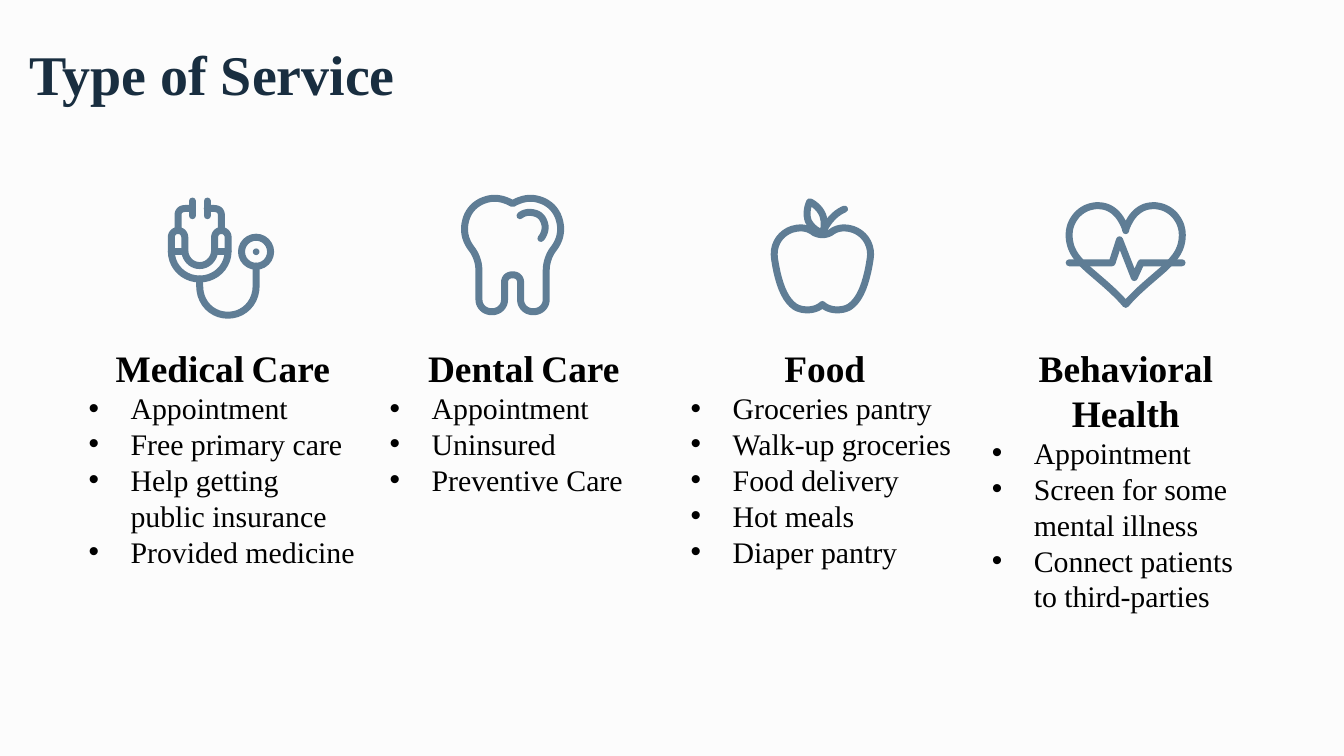
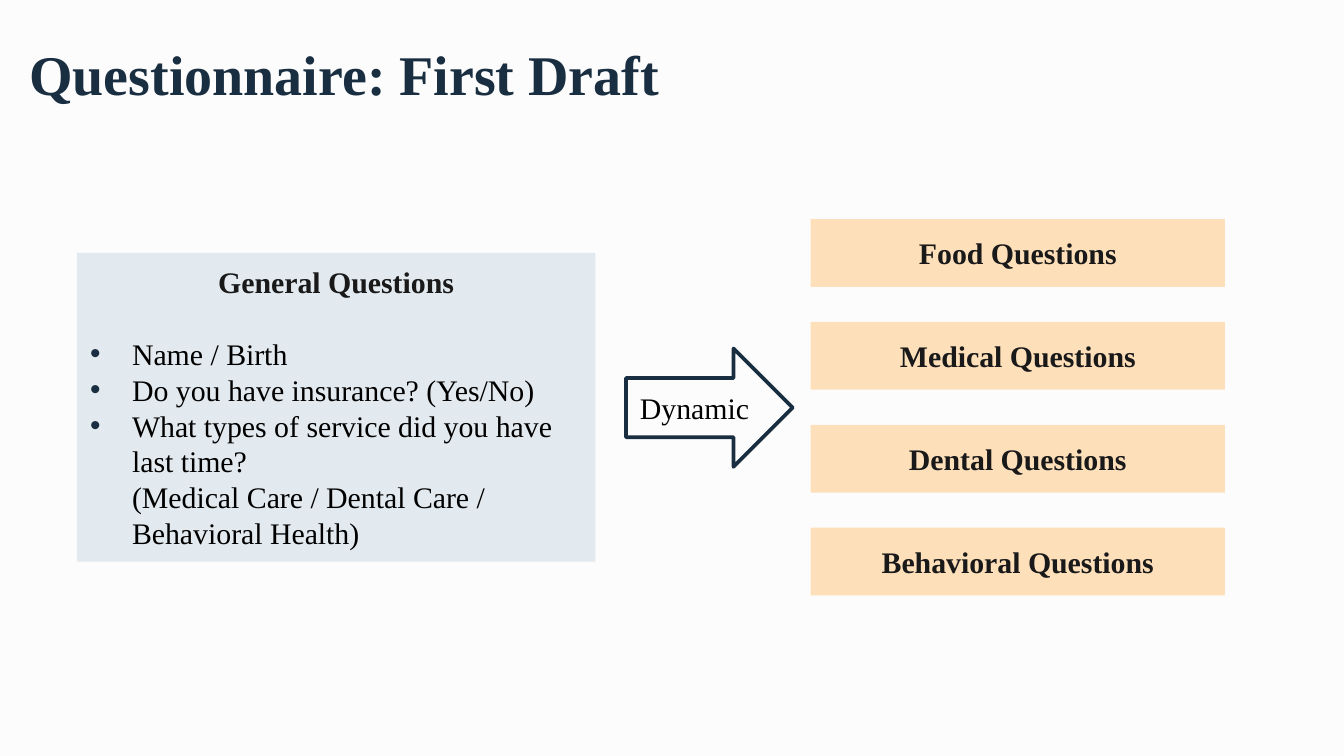
from lxml.etree import SubElement
from pptx import Presentation
from pptx.dml.color import RGBColor as RGB
from pptx.enum.shapes import MSO_SHAPE as SHAPE
from pptx.enum.text import MSO_ANCHOR as ANCHOR, PP_ALIGN as ALIGN
from pptx.oxml.ns import qn
from pptx.util import Pt

COLORS = {
    "bg": "FCFCFC", "navy": "192E40", "steel": "5F7D95", "black": "000000",
    "ink": "191919", "mist": "CBD9E2", "peach": "FFC479",
}
FONT = "Times New Roman"
LEADING = 1.2
INDENT = 22.5
STROKE = 3.75

# Icon strokes in points: a start, then lines (x, y) and curves (two controls, end).
# "fold" closes a half outline by mirroring it, "twin" repeats it mirrored.
STETHOSCOPE = [
    ("fold", [(17, 43.6), (8.6, 43.6, 1.8, 37, 1.8, 28.8), (1.8, 21.2),
              (1.8, 19.2, 3.4, 17.6, 5.4, 17.6), (7.4, 17.6, 9, 19.2, 9, 21.2),
              (9, 28.1), (9, 32.6, 12.6, 36.4, 17, 36.4)]),
    ("twin", [(1.8, 28.8), (9, 28.8)]),
    ("twin", [(5.4, 17.6), (5.4, 9.4), (5.4, 7, 7, 5.8, 9.4, 5.8), (13, 5.8)]),
    ("twin", [(13, 1.8), (13, 9.7)]),
    ("open", [(17, 43.6), (17, 47.5), (17, 56.2, 23.5, 63, 32.1, 63),
              (40.7, 63, 47.2, 56.2, 47.2, 47.5), (47.2, 36.7)]),
]
TOOTH = [
    ("fold", [(28.4, 4.7), (25.9, 3.2, 22.3, 1.8, 18.7, 1.8),
              (17.3, 1.8, 15.9, 2.1, 14.6, 2.4), (8.6, 4, 4.5, 8.4, 3.2, 14),
              (1.9, 19.1, 2.9, 24.1, 6.1, 28.4), (9, 32, 10.4, 36.4, 10.4, 41),
              (10.4, 56.2), (10.4, 59.8, 13.4, 62.6, 17.3, 62.6),
              (21.2, 62.6, 24.1, 59.8, 24.1, 56.2), (24.1, 46.8),
              (24.1, 44.3, 26, 42.8, 28.4, 42.8)]),
]
SHINE = [
    ("open", [(32.4, 11.2), (33.8, 10, 35.6, 9.4, 37.4, 9.4),
              (38.5, 9.4, 39.6, 9.6, 40.7, 9.9), (43.6, 10.8, 45, 13, 45.7, 15.8),
              (46.3, 18.4, 45.4, 21.2, 43.6, 23.4)]),
]
APPLE = [
    ("fold", [(28.8, 19.8), (26.6, 19.8, 24.8, 19.1, 23.4, 18),
              (21.6, 16.8, 19.4, 16.2, 17.3, 16.2), (16.4, 16.2, 15.6, 16.3, 14.8, 16.4),
              (7, 17.6, 1.8, 24.8, 3.2, 32.8), (5, 45, 8.3, 54.4, 14, 58.3),
              (16, 59.6, 18.4, 60.1, 20.9, 60.1), (24, 60.1, 27, 59, 28.8, 57.2)]),
    ("open", [(22, 2.2), (24.5, 3.2, 27.7, 6, 29, 9.4), (30.2, 13, 30, 16.4, 28.8, 19),
              (25, 17.5, 22.5, 15, 21.2, 12.3), (20, 8.6, 20.8, 5, 22, 2.2)]),
    ("open", [(40.7, 6.1), (36, 8, 31.5, 12.5, 28.8, 19)]),
]
HEART = [
    ("fold", [(32.1, 15.6), (32.1, 14.6, 31, 11.8, 29.2, 9),
              (26.9, 5.4, 22.9, 2.2, 17.3, 2.2), (13, 2.2, 9, 3.9, 5.9, 7.2),
              (3.2, 10.4, 1.8, 13.7, 1.8, 18), (1.8, 22.8, 3.4, 26.9, 6.5, 30.6),
              (8.5, 33.2, 11.5, 36, 15.8, 39.6), (21.2, 44.3, 26.9, 49, 32.1, 55.1)]),
    ("open", [(1.8, 32.8), (24.8, 32.8), (28.8, 20.5), (36.7, 40.7),
              (40.3, 32.8), (62.3, 32.8)]),
]

SERVICES = [
    ("Medical Care", ["Appointment", "Free primary care",
                      "Help getting public insurance", "Provided medicine"]),
    ("Dental Care", ["Appointment", "Uninsured", "Preventive Care"]),
    ("Food", ["Groceries pantry", "Walk-up groceries", "Food delivery",
              "Hot meals", "Diaper pantry"]),
    ("Behavioral Health", ["Appointment", "Screen for some mental illness",
                           "Connect patients to third-parties"]),
]
GENERAL = [
    "Name / Birth",
    "Do you have insurance? (Yes/No)",
    "What types of service did you have last time?\n"
    "(Medical Care / Dental Care / Behavioral Health)",
]


def rgb(name):
    return RGB.from_string(COLORS[name])


def flatten(steps, n=10):
    """Turn lines and Bézier curves into points."""
    pts = [steps[0]]
    for step in steps[1:]:
        if len(step) == 2:
            pts.append(step)
            continue
        ctrl = [pts[-1], step[:2], step[2:4], step[4:]]
        for t in (i / n for i in range(1, n + 1)):
            w = ((1 - t) ** 3, 3 * t * (1 - t) ** 2, 3 * t * t * (1 - t), t ** 3)
            pts.append(tuple(sum(k * c[a] for k, c in zip(w, ctrl)) for a in (0, 1)))
    return pts


def contours(strokes, axis):
    """Yield (points, closed) for every stroke, mirrored about x = axis."""
    for mode, steps in strokes:
        pts = flatten(steps)
        flip = [(2 * axis - x, y) for x, y in pts]
        if mode == "fold":
            yield pts + flip[::-1], True
        else:
            yield pts, False
            if mode == "twin":
                yield flip, False


def add_para(tf, text, size=16, color="black", bold=False, align=None,
             bullet=None, before=0, leading=LEADING, gap=None):
    """Add a paragraph; gap is the (font, size) of the spaces between words."""
    p = tf.paragraphs[0]
    if p.runs:
        p = tf.add_paragraph()
    p.alignment = align
    p.line_spacing = Pt(round(size * leading, 2))
    p.space_before = Pt(before)
    if bullet:
        pPr = p._p.get_or_add_pPr()
        pPr.set("marL", str(Pt(INDENT)))
        pPr.set("indent", str(-Pt(INDENT)))
        clr = SubElement(pPr, qn("a:buClr"))
        SubElement(clr, qn("a:srgbClr"), val=COLORS[bullet])
        SubElement(pPr, qn("a:buFont"), typeface="Arial")
        SubElement(pPr, qn("a:buChar"), char="•")

    def add_run(part, name, pts, heavy):
        r = p.add_run()
        r.text = part
        r.font.name, r.font.size, r.font.bold = name, Pt(pts), heavy
        r.font.color.rgb = rgb(color)

    for i, line in enumerate(text.split("\n")):
        if i:
            p.add_line_break()
        for j, part in enumerate(line.split(" ") if gap else [line]):
            if j:
                add_run(" ", *gap, False)
            add_run(part, FONT, size, bold)
    return p


class Deck:
    """The shared style and the slide being built."""

    def __init__(self):
        self.prs = Presentation()
        self.prs.slide_width, self.prs.slide_height = Pt(720), Pt(405)
        self.s = None

    def slide(self, title):
        self.s = self.prs.slides.add_slide(self.prs.slide_layouts[6])
        self.s.background.fill.solid()
        self.s.background.fill.fore_color.rgb = rgb("bg")
        tf = self.text(8.6, 5, 420, 63.4, inset=7.2, anchor=ANCHOR.MIDDLE)
        add_para(tf, title, size=30, color="navy", bold=True, leading=LEADING * 1.15)

    def frame(self, sp, inset=3.6, anchor=ANCHOR.TOP, wrap=True):
        tf = sp.text_frame
        tf.word_wrap, tf.vertical_anchor = wrap, anchor
        tf.margin_left = tf.margin_right = Pt(7.2)
        tf.margin_top = tf.margin_bottom = Pt(inset)
        return tf

    def text(self, x, y, w, h, **frame):
        sp = self.s.shapes.add_textbox(Pt(x), Pt(y), Pt(w), Pt(h))
        return self.frame(sp, **frame)

    def paint(self, sp, fill=None, alpha=None, line=None, width=1):
        sp.shadow.inherit = False
        if fill:
            sp.fill.solid()
            sp.fill.fore_color.rgb = rgb(fill)
            if alpha:
                clr = sp._element.spPr.find(qn("a:solidFill"))[0]
                SubElement(clr, qn("a:alpha"), val=str(alpha * 1000))
        else:
            sp.fill.background()
        if line:
            sp.line.color.rgb, sp.line.width = rgb(line), Pt(width)
            ln = sp._element.spPr.find(qn("a:ln"))
            ln.set("cap", "rnd")
            SubElement(ln, qn("a:round"))
        else:
            sp.line.fill.background()

    def shape(self, kind, x, y, w, h, wrap=True, **paint):
        sp = self.s.shapes.add_shape(kind, Pt(x), Pt(y), Pt(w), Pt(h))
        self.paint(sp, **paint)
        return self.frame(sp, anchor=ANCHOR.MIDDLE, wrap=wrap)

    def icon(self, strokes, x, y, axis=0):
        fb = None
        for pts, closed in contours(strokes, axis):
            pts = [(Pt(x + px), Pt(y + py)) for px, py in pts]
            if fb is None:
                fb = self.s.shapes.build_freeform(*pts[0])
            else:
                fb.move_to(*pts[0])
            fb.add_line_segments(pts[1:], close=closed)
        self.paint(fb.convert_to_shape(), line="steel", width=STROKE)


def build_services(deck):
    deck.slide("Type of Service")

    # Icons
    deck.icon(HEART, 571, 108, axis=32.1)
    deck.icon(STETHOSCOPE, 90, 105.9, axis=17)
    deck.shape(SHAPE.OVAL, 129.4, 127.1, 15.6, 15.6, line="steel", width=STROKE)
    deck.shape(SHAPE.OVAL, 135.4, 133.1, 3.6, 3.6, fill="steel")
    deck.icon(TOOTH, 246.2, 104.4, axis=28.4)
    deck.icon(SHINE, 246.2, 104.4)
    deck.icon(APPLE, 411.8, 105.9, axis=28.8)

    # Service columns
    heights = (165, 124, 145.5, 170)
    for i, ((name, items), h) in enumerate(zip(SERVICES, heights)):
        tf = deck.text(40.4 + 161.28 * i, 181.4, 157.9, h)
        add_para(tf, name, size=20, bold=True, align=ALIGN.CENTER, gap=("Arial", 14))
        for item in items:
            add_para(tf, item, bullet="black")


def build_questionnaire(deck):
    deck.slide("Questionnaire: First Draft")
    heading = dict(color="ink", bold=True, align=ALIGN.CENTER)

    # General questions
    tf = deck.shape(SHAPE.RECTANGLE, 41.2, 135.5, 277.8, 165.5, fill="mist", alpha=49)
    add_para(tf, "General Questions", **heading)
    for i, item in enumerate(GENERAL):
        add_para(tf, item, bullet="navy", align=ALIGN.LEFT,
                 before=0 if i else 16 * LEADING)

    # Questions for each service
    for i, name in enumerate(("Food", "Medical", "Dental", "Behavioral")):
        tf = deck.shape(SHAPE.RECTANGLE, 434.3, 117.4 + 55.1 * i, 222, 36.3,
                        fill="peach", alpha=50)
        add_para(tf, f"{name} Questions", **heading)

    # Arrow
    tf = deck.shape(SHAPE.RIGHT_ARROW, 335.4, 186.7, 89.3, 63.4, wrap=False,
                    fill="bg", line="navy", width=2)
    add_para(tf, "Dynamic", align=ALIGN.CENTER)


def main():
    deck = Deck()
    build_services(deck)
    build_questionnaire(deck)
    deck.prs.save("out.pptx")


if __name__ == "__main__":
    main()
